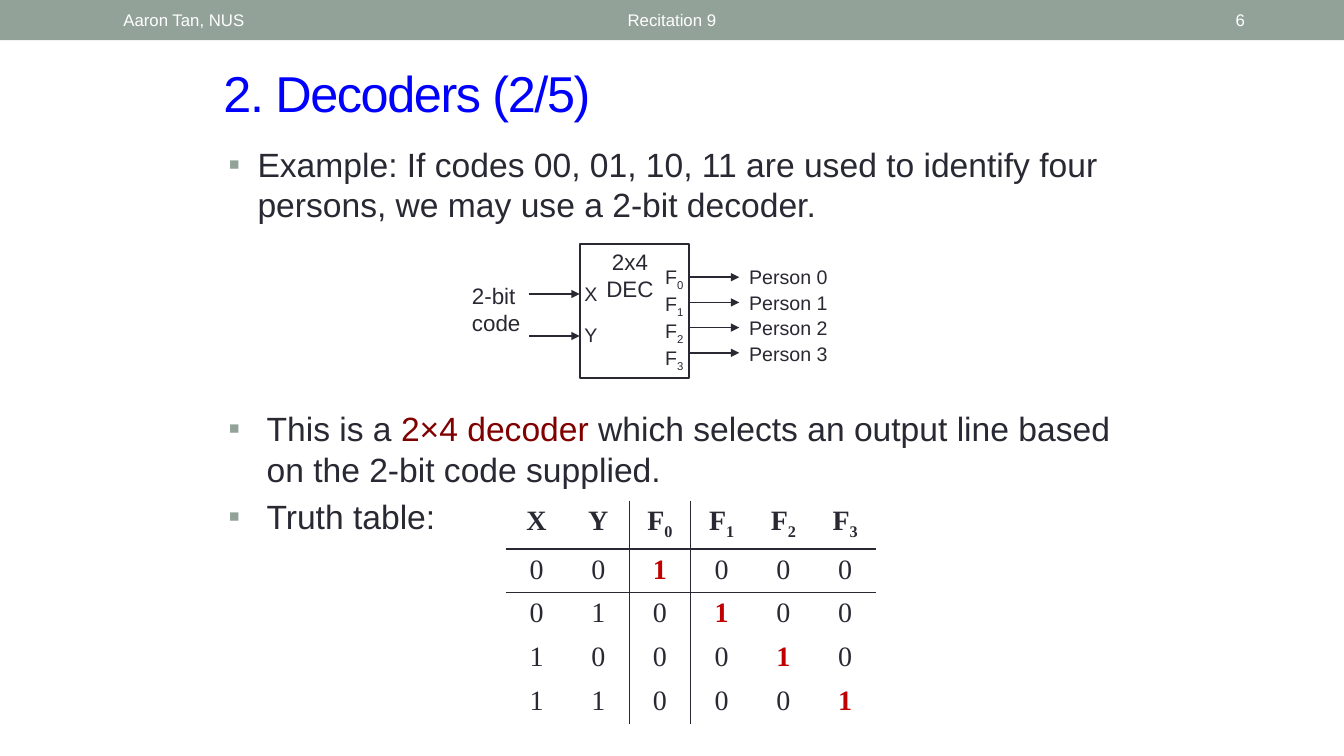
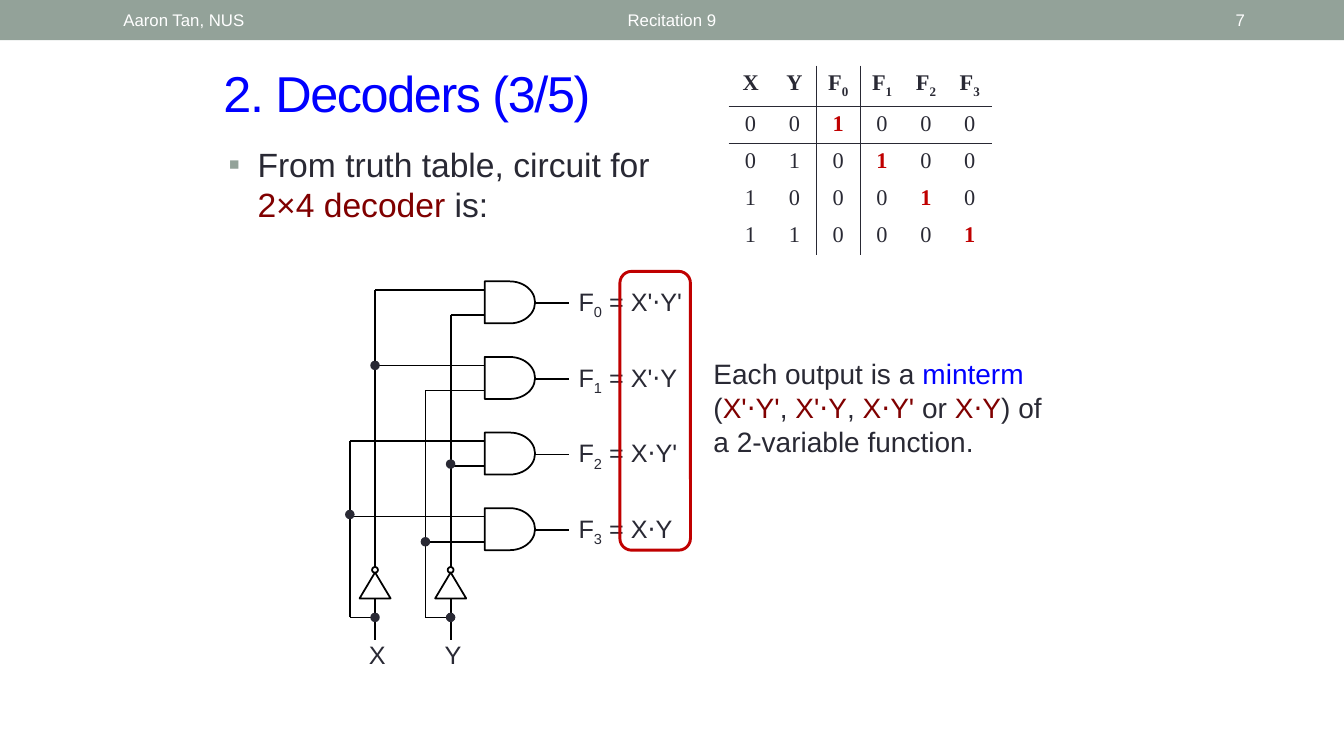
import functools
import lxml.etree
import pptx
import pptx.dml.color
import pptx.enum.shapes
import pptx.enum.text
import pptx.oxml.ns
import pptx.util

KIND = pptx.enum.shapes.MSO_SHAPE
ALIGN = pptx.enum.text.PP_ALIGN
ANCHOR = pptx.enum.text.MSO_ANCHOR
FIT = pptx.enum.text.MSO_AUTO_SIZE
Pt = pptx.util.Pt
qn = pptx.oxml.ns.qn
COLS, ROWS = 160, 90


class Theme:
    """Colours, fonts and type sizes in points."""
    ink, sage, blue, wine, red, black, white = map(
        pptx.dml.color.RGBColor.from_string,
        "292934 93A299 0000FF 800000 C00000 000000 FFFFFF".split())
    sans, serif = "Arial", "Times New Roman"
    title, body, note, label, small, pin, foot = 36, 24, 20, 18, 16, 14, 12
    wire, edge, frame, dot = 1.25, 1.5, 2.08, 0.75


def put(item, form):
    """Set each dotted attribute in form on item."""
    for name, value in form.items():
        *steps, last = name.split(".")
        setattr(functools.reduce(getattr, steps, item), last, value)


def child(node, tag, **attrs):
    """Append an XML child with attributes."""
    new = lxml.etree.SubElement(node, qn(tag))
    for key, value in attrs.items():
        new.set(key, str(value))
    return new


class Deck:
    """The style, the grid and the current slide."""

    def __init__(self, theme):
        self.look = theme
        self.show = pptx.Presentation()
        put(self.show, {"slide_width": pptx.util.Inches(13.33),
                        "slide_height": pptx.util.Inches(7.5)})
        self.unit = self.show.slide_width / COLS, self.show.slide_height / ROWS

    def grid(self, *cells):
        """Turn column and row counts into lengths."""
        return [round(n * self.unit[i % 2]) for i, n in enumerate(cells)]

    def font(self, font, size, color, face=None, bold=False):
        """Format one font."""
        put(font, {"size": Pt(size), "name": face or self.look.sans,
                   "color.rgb": color, "bold": bold})

    def fill(self, para, runs, size, color=None, face=None, bold=False):
        """Write runs given as text or as (text, colour or "sub")."""
        for item in [runs] if isinstance(runs, str) else runs:
            text, mark = (item, None) if isinstance(item, str) else item
            run = para.add_run()
            run.text = text
            tint = mark if mark not in (None, "sub") else color or self.look.ink
            self.font(run.font, size, tint, face, bold)
            if mark == "sub":
                run.font._element.set("baseline", "-25000")

    def page(self, title, number):
        """Start a slide with its band, footers and title."""
        look = self.look
        self.slide = self.show.slides.add_slide(self.show.slide_layouts[5])
        self.shape(KIND.RECTANGLE, 0, 0, COLS, 4.8, fill=look.sage)
        for text, left, wide, align in (
                ("Recitation 9", 36.25, 87.5, ALIGN.CENTER),
                ("Aaron Tan, NUS", 13.5, 38, ALIGN.LEFT),
                (str(number), 138, 11.4, ALIGN.RIGHT)):
            self.text([text], left, 0.25, wide, 4.3, look.foot,
                      color=look.white, align=align, anchor=ANCHOR.MIDDLE)
        head = self.slide.shapes.title
        put(head, dict(zip(("left", "top", "width", "height"),
                           self.grid(25.4, 6.85, 111, 8.4))))
        put(head.text_frame, {"vertical_anchor": ANCHOR.MIDDLE,
                              "auto_size": FIT.NONE, "word_wrap": True})
        para = head.text_frame.paragraphs[0]
        para.alignment = ALIGN.LEFT
        self.fill(para, title, look.title, look.blue)
        para.runs[0].font._element.set("spc", "-100")

    def text(self, paras, x, y, w, h, size, color=None, align=ALIGN.LEFT,
             anchor=ANCHOR.TOP, gap=0, hang=0):
        """Add a text box; hang in inches makes its paragraphs bullets."""
        frame = self.slide.shapes.add_textbox(*self.grid(x, y, w, h)).text_frame
        put(frame, {"word_wrap": True, "vertical_anchor": anchor})
        for i, runs in enumerate(paras):
            para = frame.add_paragraph() if i else frame.paragraphs[0]
            para.alignment = align
            if i and gap:
                para.space_before = Pt(gap)
            if hang:
                self.bullet(para, hang)
            self.fill(para, runs, size, color)

    def bullet(self, para, hang):
        """Give a paragraph a square bullet."""
        props = para._p.get_or_add_pPr()
        deep = pptx.util.Inches(hang)
        props.set("marL", str(deep))
        props.set("indent", str(-deep))
        child(child(props, "a:buClr"), "a:srgbClr", val=self.look.sage)
        child(props, "a:buFont", typeface=self.look.sans)
        child(props, "a:buChar", char="▪")

    def shape(self, kind, x, y, w, h, fill=None, line=None, width=1):
        """Add a preset shape."""
        item = self.slide.shapes.add_shape(kind, *self.grid(x, y, w, h))
        item.shadow.inherit = False
        if fill is None:
            item.fill.background()
        else:
            item.fill.solid()
            item.fill.fore_color.rgb = fill
        if line is None:
            item.line.fill.background()
        else:
            put(item.line, {"color.rgb": line, "width": Pt(width)})

    def wire(self, x1, y1, x2, y2, color=None, arrow=False):
        """Add a straight line, with an arrowhead if asked."""
        item = self.slide.shapes.add_connector(
            pptx.enum.shapes.MSO_CONNECTOR.STRAIGHT, *self.grid(x1, y1, x2, y2))
        put(item.line, {"color.rgb": color or self.look.black,
                        "width": Pt(self.look.wire)})
        if arrow:
            child(item.line._get_or_add_ln(), "a:tailEnd", type="triangle")
        child(item._element.spPr, "a:effectLst")

    def truth(self, x, y, wide, first, rest, size):
        """Add the truth table of the decoder."""
        look = self.look
        frame = self.slide.shapes.add_table(
            5, 6, *self.grid(x, y, 6 * wide, first + 4 * rest))
        table = frame.table
        put(table, {"first_row": False, "horz_banding": False})
        table._tbl.tblPr.find(qn("a:tableStyleId")).text = (
            "{2D5ABB26-0587-4C30-8999-92F81FD0307C}")
        for col in table.columns:
            col.width = self.grid(wide)[0]
        for i, row in enumerate(table.rows):
            row.height = self.grid(0, rest if i else first)[1]
            for j, cell in enumerate(row.cells):
                hot = i > 0 and j - 2 == i - 1
                if i == 0:
                    runs = "XY"[j] if j < 2 else ["F", (str(j - 2), "sub")]
                else:
                    runs = str((i - 1) >> (1 - j) & 1 if j < 2 else int(hot))
                para = cell.text_frame.paragraphs[0]
                para.alignment = ALIGN.CENTER
                self.fill(para, runs, size, look.red if hot else look.ink,
                          look.serif, hot or i == 0)
                self.rule(cell, {"a:lnL": j == 2, "a:lnR": j == 1,
                                 "a:lnT": i == 1, "a:lnB": i == 0})
                cell.fill.background()

    def rule(self, cell, sides):
        """Draw the chosen cell borders."""
        props = cell._tc.get_or_add_tcPr()
        for tag, shown in sides.items():
            if shown:
                line = child(props, tag, w=Pt(1))
                child(child(line, "a:solidFill"), "a:srgbClr", val=self.look.ink)


def block(deck):
    """Draw the decoder as a block with its pins."""
    look = deck.look
    deck.shape(KIND.RECTANGLE, 69, 29, 13, 16, line=look.ink, width=look.edge)
    deck.text(["2x4", "DEC"], 70, 29, 10, 7.7, look.small, align=ALIGN.CENTER)
    deck.text(["2-bit code"], 55, 33, 9, 7.7, look.small)
    deck.text(["X", "Y"], 68.4, 33, 5, 8.9, look.pin, gap=12.5)
    for y in (35, 40):
        deck.wire(63, y, 69, y, look.ink, True)
    for k in range(4):
        deck.wire(82, 33 + 3 * k, 88, 33 + 3 * k, look.ink, True)
    deck.text([["F", (str(k), "sub")] for k in range(4)],
              78, 31, 5, 12.5, look.pin)
    deck.text([f"Person {k}" for k in range(4)],
              88, 31, 14, 13.3, look.pin, gap=1.4)


def gates(deck):
    """Draw the decoder as gates and wires."""
    look = deck.look
    a, b, c, d = (41.65 + n for n in (0, 3, 9, 12))
    gate, end, step = 57.7, 63.7, 9
    terms = "X'⋅Y'", "X'⋅Y", "X⋅Y'", "X⋅Y"
    for k, (high, low) in enumerate(((b, d), (b, c), (a, d), (a, c))):
        top = 33.5 + step * k
        deck.shape(KIND.FLOWCHART_DELAY, gate, top, 6, 5,
                   line=look.black, width=look.wire)
        deck.wire(high, top + 1, gate, top + 1)
        deck.wire(low, top + 4, gate, top + 4)
        deck.wire(end, top + 2.6, end + 4, top + 2.6)
        deck.text([["F", (str(k), "sub"), " = " + terms[k]]],
                  end + 4, top, 15.5, 4.8, look.label)
    for name, side, main, y1, y2 in (("X", a, b, 52.5, 34.5),
                                     ("Y", c, d, 46.5, 37.5)):
        deck.wire(side, y1, side, 73.5)
        deck.wire(side, 73.5, main, 73.5)
        deck.wire(main, y2, main, 67.5)
        deck.wire(main, 71.3, main, 76.2)
        for kind, y, w, h in ((KIND.FLOWCHART_EXTRACT, 68.15, 3.7, 3.1),
                              (KIND.OVAL, 67.5, 0.7, 0.7)):
            deck.shape(kind, main - w / 2, y, w, h,
                       line=look.black, width=look.wire)
        deck.text([name], main - 1.9, 75.5, 5, 4.8, look.label)
    for x, y in ((b, 43.5), (d, 55.25), (c, 64.5), (a, 61.25),
                 (b, 73.5), (d, 73.5)):
        deck.shape(KIND.OVAL, x - 0.5, y - 0.5, 1, 1,
                   fill=look.ink, line=look.ink, width=look.dot)


def main():
    """Build both slides and save them."""
    look = Theme()
    deck = Deck(look)
    name = ("2×4 decoder", look.wine)

    deck.page("2. Decoders (2/5)", 6)
    deck.text(["Example: If codes 00, 01, 10, 11 are used to identify four "
               "persons, we may use a 2-bit decoder."],
              26, 16.5, 108, 12.5, look.body, hang=0.29)
    block(deck)
    deck.text([["This is a ", name, " which selects an output line based on "
                "the 2-bit code supplied."], "Truth table:"],
              26, 48, 108, 23, look.body, gap=4.8, hang=0.38)
    deck.truth(60.2, 59.6, 7.35, 5.7, 5.2, look.note)

    deck.page("2. Decoders (3/5)", 7)
    deck.text([["From truth table, circuit for ", name, " is:"]],
              26, 16.5, 57, 12.5, look.body, hang=0.29)
    gates(deck)
    wine = look.wine
    deck.text([["Each output is a ", ("minterm", look.blue), " (",
                ("X'⋅Y'", wine), ", ", ("X'⋅Y", wine), ", ", ("X⋅Y'", wine),
                " or ", ("X⋅Y", wine), ") of a 2-variable function."]],
              83.75, 41.9, 43.3, 17.5, look.note)
    deck.truth(86.75, 7.8, 5.22, 4.9, 4.4, look.small)
    deck.shape(KIND.ROUNDED_RECTANGLE, 73.8, 32.3, 8.4, 33.2,
               line=look.red, width=look.frame)
    deck.show.save("out.pptx")


if __name__ == "__main__":
    main()
